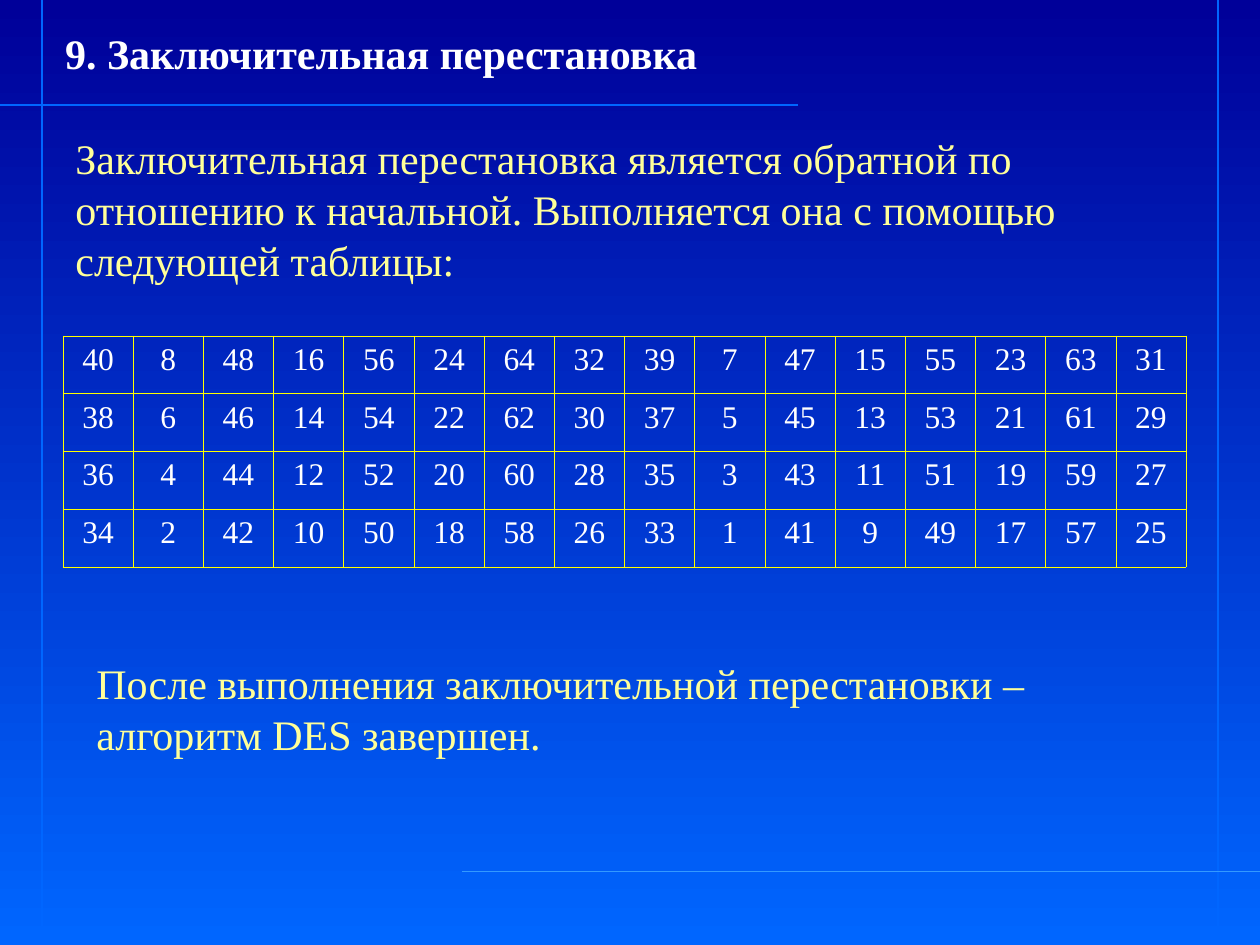
from lxml import etree
from pptx import Presentation
from pptx.dml.color import RGBColor
from pptx.enum.shapes import MSO_CONNECTOR
from pptx.enum.text import MSO_ANCHOR, MSO_AUTO_SIZE, PP_ALIGN
from pptx.oxml.ns import qn
from pptx.util import Pt

STRAIGHT = MSO_CONNECTOR.STRAIGHT
TOP = MSO_ANCHOR.TOP
GROW = MSO_AUTO_SIZE.SHAPE_TO_FIT_TEXT
LEFT, CENTER = PP_ALIGN.LEFT, PP_ALIGN.CENTER

FONT = "Times New Roman"
WHITE, CREAM, YELLOW = "FFFFFF", "FFFF99", "FFFF00"
NAVY, BLUE, SKY = "000099", "0066FF", "3399FF"
WIDTH, HEIGHT = 720, 540

FIRST_HALF = [40, 8, 48, 16, 56, 24, 64, 32]
ROW_COUNT = 4


def color(value):
    return RGBColor.from_string(value)


def permutation_rows():
    """Right half is one less than the left; each row is two less than the last."""
    top_row = FIRST_HALF + [bit - 1 for bit in FIRST_HALF]
    return [[bit - 2 * row for bit in top_row] for row in range(ROW_COUNT)]


def paint_background(page):
    fill = page.background.fill
    fill.gradient()
    fill.gradient_angle = 270
    for stop, value in zip(fill.gradient_stops, (NAVY, BLUE)):
        stop.color.rgb = color(value)


def add_line(page, start, end, value, weight):
    line = page.shapes.add_connector(STRAIGHT, *map(Pt, start + end))
    line.line.color.rgb = color(value)
    line.line.width = Pt(weight)
    etree.SubElement(line._element.spPr, qn("a:effectLst"))


def format_paragraph(para, size, value, align=LEFT, bold=False):
    para.alignment = align
    for span in para.runs:
        span.font.name = FONT
        span.font.size = Pt(size)
        span.font.bold = bold
        span.font.color.rgb = color(value)


def write_text(box, text, value, bold=False):
    frame = box.text_frame
    frame.text = text
    frame.word_wrap = True
    frame.auto_size = GROW
    frame.vertical_anchor = TOP
    para = frame.paragraphs[0]
    para.line_spacing = Pt(29)
    format_paragraph(para, 24, value, bold=bold)


def add_title(page, text):
    title = page.shapes.title
    title.left, title.top, title.width, title.height = map(Pt, (30, 12, 426, 36))
    write_text(title, text, WHITE, bold=True)


def add_text(page, left, top, width, height, text):
    box = page.shapes.add_textbox(*map(Pt, (left, top, width, height)))
    write_text(box, text, CREAM)


def add_borders(cell, value, weight):
    properties = cell._tc.get_or_add_tcPr()
    for side in ("lnL", "lnR", "lnT", "lnB"):
        border = etree.SubElement(properties, qn(f"a:{side}"), w=str(Pt(weight)))
        fill = etree.SubElement(border, qn("a:solidFill"))
        etree.SubElement(fill, qn("a:srgbClr"), val=value)


def add_table(page, rows, left, top, width, height):
    frame = page.shapes.add_table(
        len(rows), len(rows[0]), *map(Pt, (left, top, width, height)))
    table = frame.table
    table.first_row = False
    table.horz_banding = False
    for row, numbers in enumerate(rows):
        for column, number in enumerate(numbers):
            cell = table.cell(row, column)
            cell.text = str(number)
            format_paragraph(cell.text_frame.paragraphs[0], 18, WHITE, CENTER)
            add_borders(cell, YELLOW, 0.45)
            cell.fill.background()


def main():
    deck = Presentation()
    deck.slide_width, deck.slide_height = Pt(WIDTH), Pt(HEIGHT)
    page = deck.slides.add_slide(deck.slide_layouts[5])
    paint_background(page)

    for x in (24, WIDTH - 24):
        add_line(page, (x, 0), (x, HEIGHT), BLUE, 1)
    add_line(page, (0, 60), (456, 60), BLUE, 0.75)
    add_line(page, (264, 498), (WIDTH, 498), SKY, 1)

    add_title(page, "9. Заключительная перестановка")
    add_text(page, 36, 72, 636, 93.6,
             "Заключительная перестановка является обратной по отношению "
             "к начальной. Выполняется она с помощью следующей таблицы:")
    add_table(page, permutation_rows(), 36, 192, 642, 132)
    add_text(page, 48, 372, 636, 64.8,
             "После выполнения заключительной перестановки – "
             "алгоритм DES завершен.")
    deck.save("out.pptx")


if __name__ == "__main__":
    main()
